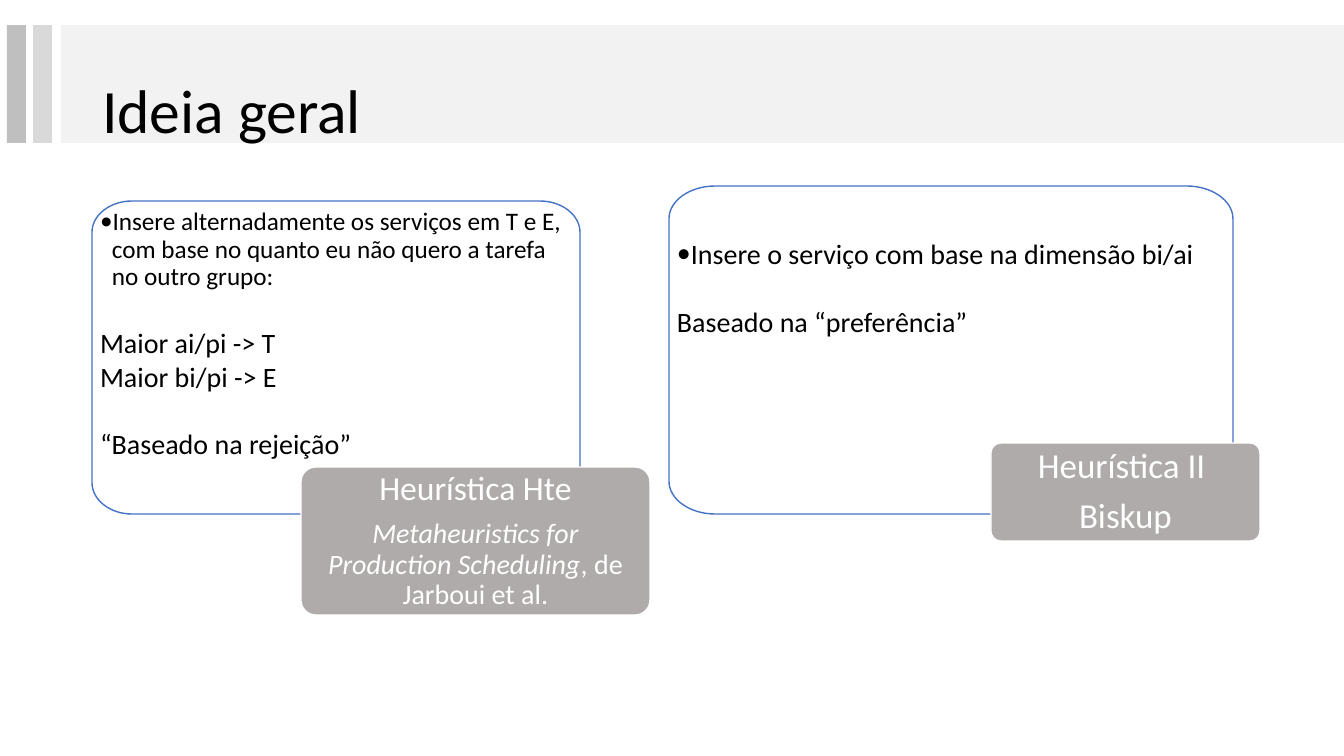
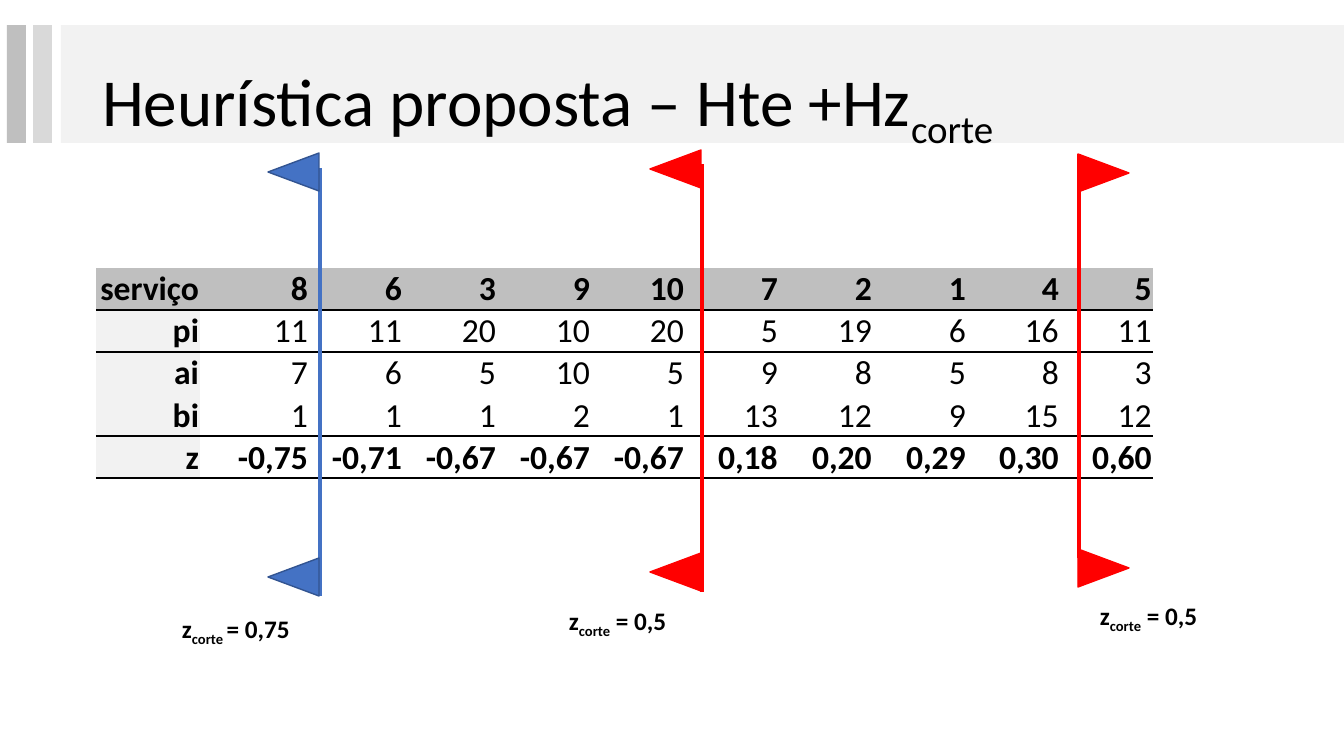
from lxml import etree
from pptx import Presentation
from pptx import util as u
from pptx.dml.color import RGBColor
from pptx.enum import shapes, text
from pptx.oxml.ns import qn

SCALE = 914400 / 100.8
FONT = "Calibri"
COLORS = {
    "black": "000000", "white": "FFFFFF", "band": "F2F2F2", "light": "D9D9D9",
    "mid": "BFBFBF", "label": "AFABAB", "blue": "4472C4", "navy": "325491",
    "red": "FF0000",
}
BANDS = [((61, 25, 1283, 118), "band"), ((33, 25, 19, 118), "light"),
         ((7, 25, 19, 118), "mid")]


def px(length):
    """Turn pixels into EMU."""
    return u.Emu(round(length * SCALE))


def place(box):
    """Turn a pixel box into EMU lengths."""
    return [px(length) for length in box]


def color(name):
    """Look up a colour by name."""
    return RGBColor.from_string(COLORS[name])


def paint(shape, fill, line=None):
    """Set fill and outline, and drop the shadow."""
    shape.shadow.inherit = False
    shape.fill.solid()
    shape.fill.fore_color.rgb = color(fill)
    if line:
        shape.line.color.rgb = color(line)
        shape.line.width = u.Pt(1)
    else:
        shape.line.fill.background()


def write(paragraph, runs, size, ink="black", bold=False, align="LEFT"):
    """Fill a paragraph with (text, style) runs; style is '', 'sub' or 'italic'."""
    paragraph.alignment = getattr(text.PP_ALIGN, align)
    font = paragraph.font
    font.name, font.size, font.bold = FONT, u.Pt(size), bold
    font.color.rgb = color(ink)
    for words, style in runs:
        run = paragraph.add_run()
        run.text = words
        if style == "italic":
            run.font.italic = True
        elif style == "sub":
            run.font._element.set("baseline", "-25000")


def set_margins(holder, left, top, right, bottom):
    """Set the text margins of a frame or cell in pixels."""
    holder.margin_left, holder.margin_top = px(left), px(top)
    holder.margin_right, holder.margin_bottom = px(right), px(bottom)


def titled_slide(deck, runs, size, top):
    """Add a slide with the grey bands behind its title."""
    slide = deck.slides.add_slide(deck.slide_layouts[5])
    title = slide.shapes.title
    title.left, title.top, title.width, title.height = place((92, top, 1159, 146))
    for box, fill in BANDS:
        band = slide.shapes.add_shape(shapes.MSO_SHAPE.RECTANGLE, *place(box))
        paint(band, fill)
        title.element.addprevious(band.element)
    frame = title.text_frame
    frame.auto_size = text.MSO_AUTO_SIZE.NONE
    frame.vertical_anchor = text.MSO_ANCHOR.MIDDLE
    frame.paragraphs[0].line_spacing = 0.9
    write(frame.paragraphs[0], runs, size)
    return slide


def curve_corner(segment, start, corner):
    """Turn a straight corner segment into a curve towards its corner."""
    end = segment[0]
    segment.tag = qn("a:cubicBezTo")
    for anchor in (start, (int(end.get("x")), int(end.get("y")))):
        x, y = (round(a + (c - a) * 0.55) for a, c in zip(anchor, corner))
        end.addprevious(etree.Element(qn("a:pt"), x=str(x), y=str(y)))


def rounded_box(slide, box, rx, ry, fill, line):
    """Draw a box with elliptical corners and return its text frame."""
    left, top, width, height = box
    right, bottom = left + width, top + height
    points = [place(point) for point in (
        (left, top + ry), (left + rx, top), (right - rx, top), (right, top + ry),
        (right, bottom - ry), (right - rx, bottom), (left + rx, bottom),
        (left, bottom - ry))]
    outline = slide.shapes.build_freeform(*points[0], scale=1.0)
    outline.add_line_segments(points[1:], close=True)
    shape = outline.convert_to_shape()
    local = [(x - px(left), y - px(top)) for x, y in points]
    segments = list(shape.element.iter(qn("a:lnTo")))
    for index in range(0, 7, 2):
        start, end = local[index], local[index + 1]
        corner = (start[0], end[1]) if index % 4 == 0 else (end[0], start[1])
        curve = etree.Element(qn("a:cubicBezTo"))
        curve.append(segments[index][0])
        segments[index].getparent().replace(segments[index], curve)
        curve_corner(curve, start, corner)
    paint(shape, fill, line)
    shape.text_frame.word_wrap = True
    return shape.text_frame


def paragraphs(frame, count):
    """Return the given number of paragraphs of a new frame."""
    return [frame.paragraphs[0]] + [frame.add_paragraph() for _ in range(count - 1)]


def add_bullet(paragraph):
    """Give a paragraph a hanging bullet."""
    props = paragraph._p.get_or_add_pPr()
    props.set("marL", str(px(12)))
    props.set("indent", str(-px(12)))
    defaults = props.find(qn("a:defRPr"))
    defaults.addprevious(etree.Element(qn("a:buFont"), typeface=FONT))
    defaults.addprevious(etree.Element(qn("a:buChar"), char="\u2022"))


def idea_panel(slide, box, margins, bullet, bullet_size, notes):
    """Draw an outlined panel: a bullet, then (text, gap, line spacing) notes."""
    frame = rounded_box(slide, box, box[2] * 0.082, box[3] * 0.1, "white", "blue")
    frame.vertical_anchor = text.MSO_ANCHOR.TOP
    set_margins(frame, *margins)
    first, *rest = paragraphs(frame, 1 + len(notes))
    write(first, [(bullet, "")], bullet_size)
    first.line_spacing = 0.9
    first.space_after = u.Pt(bullet_size * 0.15)
    add_bullet(first)
    for paragraph, (words, gap, spacing) in zip(rest, notes):
        write(paragraph, [(words, "")], 20)
        paragraph.space_before = u.Pt(gap)
        paragraph.line_spacing = spacing


def heuristic_label(slide, box, lines):
    """Draw a grey label with centred (runs, size) lines."""
    radius = box[3] * 0.1
    frame = rounded_box(slide, box, radius, radius, "label", "white")
    frame.vertical_anchor = text.MSO_ANCHOR.MIDDLE
    set_margins(frame, 8, 6, 8, 6)
    for paragraph, (runs, size) in zip(paragraphs(frame, len(lines)), lines):
        write(paragraph, runs, size, "white", align="CENTER")
        paragraph.line_spacing = 0.9
        paragraph.space_after = u.Pt(size * 0.35)


def set_border(cell, side, ruled):
    """Rule one side of a cell in black, or clear it."""
    line = etree.Element(qn(f"a:ln{side}"), w=str(u.Pt(2.25)))
    if ruled:
        solid = etree.SubElement(line, qn("a:solidFill"))
        etree.SubElement(solid, qn("a:srgbClr"), val=COLORS["black"])
    else:
        etree.SubElement(line, qn("a:noFill"))
    cell._tc.get_or_add_tcPr().insert("LRTB".index(side), line)


def service_table(slide, left, top, rows):
    """Draw the table of services with its horizontal rules."""
    widths = [104, 109] + [94] * 7 + [93] * 2
    row_height = 41
    box = (left, top, sum(widths), row_height * len(rows))
    table = slide.shapes.add_table(len(rows), len(widths), *place(box)).table
    table.first_row = table.horz_banding = False
    for column, width in zip(table.columns, widths):
        column.width = px(width)
    ruled_rows = (0, 1, 3, 4)
    for r, values in enumerate(rows):
        table.rows[r].height = px(row_height)
        for c, value in enumerate(values):
            cell = table.cell(r, c)
            set_margins(cell, 1, 1, 1, 0)
            cell.vertical_anchor = text.MSO_ANCHOR.BOTTOM
            write(cell.text_frame.paragraphs[0], [(value, "")], 24,
                  bold=c == 0 or r in (0, 4), align="RIGHT")
            if r == 0 or c == 0:
                cell.fill.solid()
                cell.fill.fore_color.rgb = color("band" if r else "mid")
            else:
                cell.fill.background()
            for side, ruled in (("L", False), ("R", False),
                                ("T", r - 1 in ruled_rows), ("B", r in ruled_rows)):
                set_border(cell, side, ruled)


def cut_marker(slide, pole, flag_tops, points_left, fill, line, caption, caption_box):
    """Draw a cut: an (x, top, bottom) pole, a flag at each end and a caption."""
    wide, high = 51, 38
    pole_x, pole_top, pole_bottom = pole
    rod = slide.shapes.add_connector(
        shapes.MSO_CONNECTOR.STRAIGHT, *place((pole_x, pole_bottom, pole_x, pole_top)))
    rod.line.color.rgb = color(fill)
    rod.line.width = u.Pt(2.25)
    etree.SubElement(rod.element.spPr, qn("a:effectLst"))
    center_x = pole_x - 1 + (-wide / 2 if points_left else wide / 2)
    for top in flag_tops:
        box = (center_x - high / 2, top + (high - wide) / 2, high, wide)
        flag = slide.shapes.add_shape(shapes.MSO_SHAPE.ISOSCELES_TRIANGLE, *place(box))
        flag.rotation = 270 if points_left else 90
        paint(flag, fill, line)
    frame = slide.shapes.add_textbox(*place(caption_box)).text_frame
    frame.word_wrap = False
    frame.auto_size = text.MSO_AUTO_SIZE.SHAPE_TO_FIT_TEXT
    sub, value = caption
    write(frame.paragraphs[0], [("z", ""), (sub, "sub"), (value, "")], 18, bold=True)


def idea_slide(deck):
    """Build the slide that compares the two heuristics."""
    slide = titled_slide(deck, [("Ideia geral", "")], 44, 41)
    idea_panel(
        slide, (92, 201, 488, 313), (8, 8, 7, 53),
        "Insere alternadamente os serviços em T e E, com base no quanto "
        "eu não quero a tarefa no outro grupo:", 18,
        [("Maior ai/pi -> T", 22.5, 1.0), ("Maior bi/pi -> E", 0, 1.0),
         ("“Baseado na rejeição”", 24, 1.0)])
    heuristic_label(
        slide, (301, 467, 349, 148),
        [([("Heurística Hte", "")], 24),
         ([("Metaheuristics for Production Scheduling", "italic"),
           (", de Jarboui et al.", "")], 20)])
    idea_panel(
        slide, (669, 186, 564, 328), (8, 54, 7, 7),
        "Insere o serviço com base na dimensão bi/ai", 20,
        [("Baseado na “preferência”", 24.5, 0.9)])
    heuristic_label(slide, (991, 443, 269, 98),
                    [([("Heurística II ", "")], 25), ([("Biskup", "")], 25)])


def proposal_slide(deck):
    """Build the slide with the service table and its cuts."""
    slide = titled_slide(
        deck, [("Heurística proposta – Hte +Hz", ""), ("corte", "sub")], 48, 29)
    service_table(slide, 96, 268, [
        ["serviço", "8", "6", "3", "9", "10", "7", "2", "1", "4", "5"],
        ["pi", "11", "11", "20", "10", "20", "5", "19", "6", "16", "11"],
        ["ai", "7", "6", "5", "10", "5", "9", "8", "5", "8", "3"],
        ["bi", "1", "1", "1", "2", "1", "13", "12", "9", "15", "12"],
        ["z", "-0,75", "-0,71", "-0,67", "-0,67", "-0,67",
         "0,18", "0,20", "0,29", "0,30", "0,60"],
    ])
    cut_marker(slide, (320, 168, 596), (153, 558), True, "blue", "navy",
               ("corte ", "= 0,75"), (172, 608, 133, 40))
    cut_marker(slide, (702, 164, 592), (150, 553), True, "red", "red",
               ("corte", " = 0,5"), (559, 600, 122, 40))
    cut_marker(slide, (1079, 154, 558), (154, 549), False, "red", "red",
               ("corte", " = 0,5"), (1090, 595, 122, 40))


def main():
    """Build the deck and save it."""
    deck = Presentation()
    deck.slide_width, deck.slide_height = px(1344), px(756)
    idea_slide(deck)
    proposal_slide(deck)
    deck.save("out.pptx")


main()
